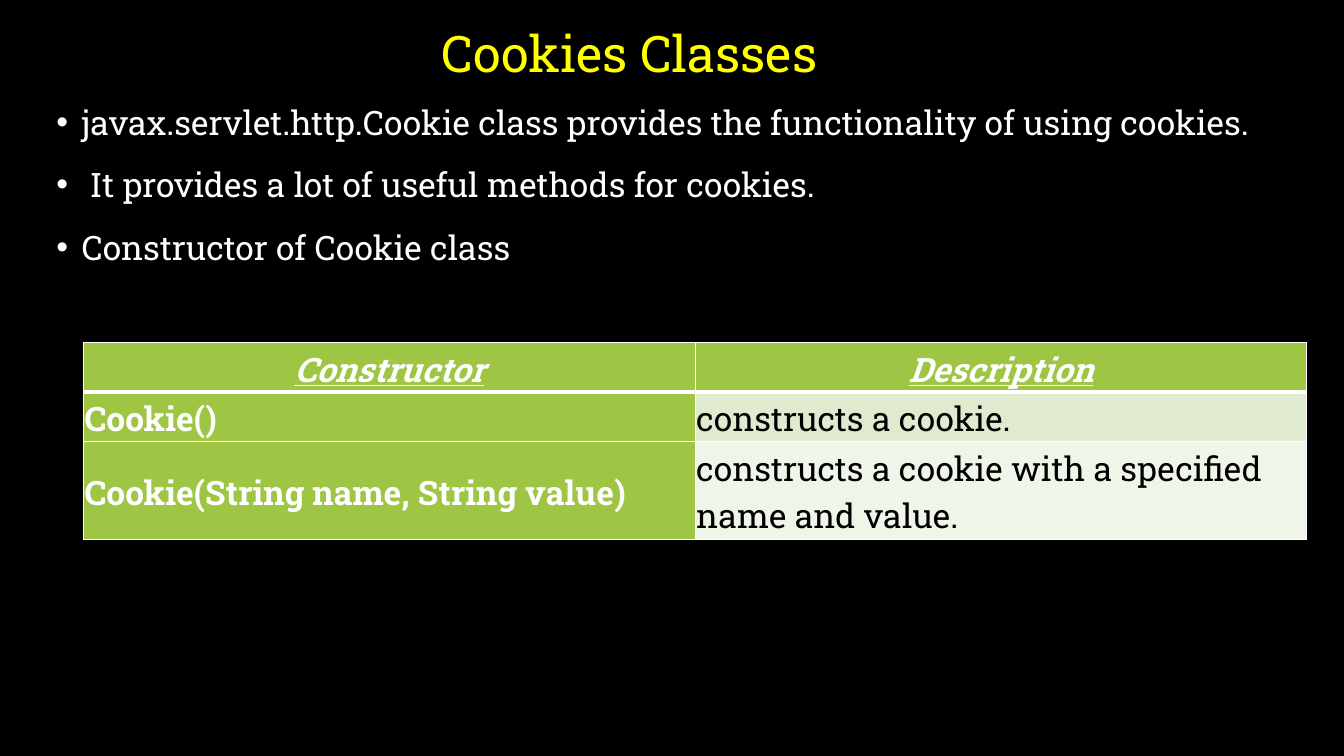
from lxml import etree
from pptx import Presentation
from pptx.dml.color import RGBColor
from pptx.enum import text as te
from pptx.oxml import ns
from pptx.util import Inches, Pt

FONT = "Roboto Slab"
BLACK = RGBColor(0x00, 0x00, 0x00)
WHITE = RGBColor(0xFF, 0xFF, 0xFF)
YELLOW = RGBColor(0xFF, 0xFF, 0x00)
GREEN = RGBColor(0x9E, 0xC5, 0x44)
PALE_GREEN = RGBColor(0xDF, 0xEA, 0xCF)
PALEST_GREEN = RGBColor(0xF0, 0xF5, 0xE9)

BULLETS = [
    "javax.servlet.http.Cookie class provides the functionality of using cookies.",
    " It provides a lot of useful methods for cookies. ",
    "Constructor of Cookie class",
]
HEADINGS = ["Constructor", "Description"]
CONSTRUCTORS = [
    ("Cookie()", "constructs a cookie.", PALE_GREEN),
    ("Cookie(String name, String value)",
     "constructs a cookie with a specified name and value.", PALEST_GREEN),
]
ROW_HEIGHTS = [0.49, 0.49, 0.97]


def write(para, words, size=24, color=WHITE, align=te.PP_ALIGN.LEFT,
          spacing=1.0, before=0, bold=False, italic=False, underline=False):
    para.alignment = align
    para.line_spacing = spacing
    para.space_before = Pt(before)
    span = para.add_run()
    span.text = words
    font = span.font
    font.name, font.size, font.color.rgb = FONT, Pt(size), color
    font.bold, font.italic, font.underline = bold, italic, underline


def place(box, left, top, width, height):
    box.left, box.top = Inches(left), Inches(top)
    box.width, box.height = Inches(width), Inches(height)
    frame = box.text_frame
    frame.word_wrap = True
    frame.auto_size = te.MSO_AUTO_SIZE.NONE
    frame.vertical_anchor = te.MSO_ANCHOR.TOP
    return frame


def add_bullets(frame, items):
    for index, item in enumerate(items):
        para = frame.add_paragraph() if index else frame.paragraphs[0]
        write(para, item, align=te.PP_ALIGN.JUSTIFY, spacing=1.2, before=10)
        props = para._p.get_or_add_pPr()
        props.set("marL", str(Inches(0.25)))
        props.set("indent", str(-Inches(0.25)))
        etree.SubElement(props, ns.qn("a:buChar"), char="•")


def set_borders(cell, **widths):
    props = cell._tc.get_or_add_tcPr()
    for index, side in enumerate("LRTB"):
        line = etree.Element(ns.qn(f"a:ln{side}"), w=str(Pt(widths.get(side, 1))))
        fill = etree.SubElement(line, ns.qn("a:solidFill"))
        etree.SubElement(fill, ns.qn("a:srgbClr"), val=str(WHITE))
        props.insert(index, line)


def fill_cell(cell, words, fill, borders, **style):
    cell.fill.solid()
    cell.fill.fore_color.rgb = fill
    cell.vertical_anchor = te.MSO_ANCHOR.MIDDLE
    cell.margin_left = cell.margin_right = Inches(0.01)
    cell.margin_top = cell.margin_bottom = Inches(0.01)
    write(cell.text_frame.paragraphs[0], words, spacing=1.07, **style)
    set_borders(cell, **borders)


def add_constructor_table(page):
    table = page.shapes.add_table(
        len(ROW_HEIGHTS), len(HEADINGS), Inches(0.83), Inches(3.4),
        Inches(12.13), Inches(sum(ROW_HEIGHTS))).table
    for row, height in zip(table.rows, ROW_HEIGHTS):
        row.height = Inches(height)

    # Heading row, with a thick rule beneath it
    for column, heading in enumerate(HEADINGS):
        fill_cell(table.cell(0, column), heading, GREEN, {"B": 3},
                  align=te.PP_ALIGN.CENTER, bold=True, italic=True, underline=True)

    # One row for each constructor
    for row, (name, description, shade) in enumerate(CONSTRUCTORS, start=1):
        borders = {"T": 3} if row == 1 else {}
        fill_cell(table.cell(row, 0), name, GREEN, borders, bold=True)
        fill_cell(table.cell(row, 1), description, shade, borders, color=BLACK)


def main():
    deck = Presentation()
    deck.slide_width, deck.slide_height = Inches(13.33), Inches(7.5)
    page = deck.slides.add_slide(deck.slide_layouts[1])
    page.background.fill.solid()
    page.background.fill.fore_color.rgb = BLACK

    # Title and list
    title = place(page.shapes.title, 0.7, 0.17, 11.09, 0.71)
    write(title.paragraphs[0], "Cookies Classes", size=36, color=YELLOW,
          align=te.PP_ALIGN.CENTER)
    add_bullets(place(page.placeholders[1], 0.46, 0.88, 12.5, 6.5), BULLETS)

    # Constructors
    add_constructor_table(page)
    deck.save("out.pptx")


if __name__ == "__main__":
    main()
